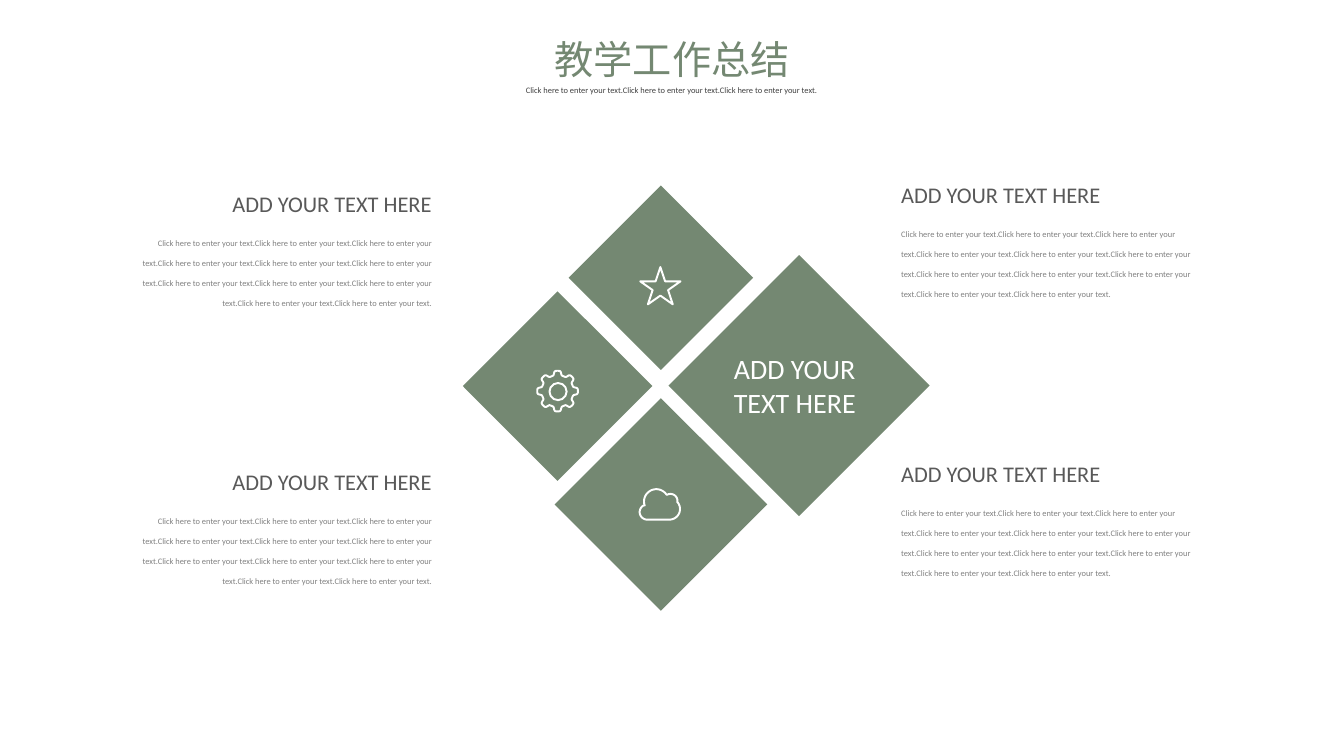
from math import cos, radians, sin, tanh

from lxml import etree
from pptx import Presentation
from pptx.dml.color import RGBColor
from pptx.enum.shapes import MSO_SHAPE
from pptx.enum.text import MSO_ANCHOR, MSO_AUTO_SIZE, PP_ALIGN
from pptx.oxml.ns import qn
from pptx.util import Pt

PX = 9144  # EMU in one px, 100 px to the inch
LEFT, CENTER, RIGHT = PP_ALIGN.LEFT, PP_ALIGN.CENTER, PP_ALIGN.RIGHT
MIDDLE = MSO_ANCHOR.MIDDLE
NO_AUTOFIT = MSO_AUTO_SIZE.NONE
DIAMOND, STAR, OVAL = MSO_SHAPE.DIAMOND, MSO_SHAPE.STAR_5_POINT, MSO_SHAPE.OVAL

GREEN, WHITE = "748872", "FFFFFF"
LATIN_FONT, CHINESE_FONT = "Calibri", "Noto Sans CJK SC"
TITLE = "教学工作总结"
HEADING = "ADD YOUR TEXT HERE"
SENTENCE = "Click here to enter your text."

# left, top, side
DIAMONDS = [(459, 289, 188), (663, 253, 259), (550, 395, 211), (564, 184, 183)]
# left, top, alignment
TEXT_BLOCKS = [(884, 175, LEFT), (884, 452, LEFT), (123, 184, RIGHT), (123, 460, RIGHT)]
GEAR_CENTER = (553, 388)
# centre x, centre y, radius, start and end angle
CLOUD_ARCS = [(642, 508, 7.5, 90, 240), (651, 497.5, 12.2, 161, 323),
              (665, 497, 7, 240, 360), (664, 505, 10.5, -43, 90)]


def px(value):
    return round(value * PX)


def color(hex_value):
    return RGBColor.from_string(hex_value)


def add_run(paragraph, text, size, hex_value, font=LATIN_FONT):
    run = paragraph.add_run()
    run.text = text
    run.font.size = Pt(size)
    run.font.name = font
    run.font.color.rgb = color(hex_value)
    return run


def add_text(slide, box, text, size, hex_value, alignment=LEFT, line_spacing=None):
    text_box = slide.shapes.add_textbox(*map(px, box))
    text_box.text_frame.word_wrap = True
    paragraph = text_box.text_frame.paragraphs[0]
    paragraph.alignment = alignment
    paragraph.line_spacing = line_spacing
    add_run(paragraph, text, size, hex_value)


def set_title(slide):
    title = slide.shapes.title
    title.left, title.top, title.width, title.height = map(px, (495, 19, 343, 78))
    frame = title.text_frame
    frame.auto_size = NO_AUTOFIT
    frame.vertical_anchor = MIDDLE
    paragraph = frame.paragraphs[0]
    paragraph.alignment = CENTER
    run = add_run(paragraph, TITLE, 28, GREEN, CHINESE_FONT)
    # East Asian typeface goes right after the Latin one
    east_asian = etree.Element(qn("a:ea"), typeface=CHINESE_FONT)
    run.font._element.find(qn("a:latin")).addnext(east_asian)


def add_diamond(slide, left, top, side):
    diamond = slide.shapes.add_shape(DIAMOND, px(left), px(top), px(side), px(side))
    diamond.shadow.inherit = False
    diamond.fill.solid()
    diamond.fill.fore_color.rgb = color(GREEN)
    diamond.line.fill.background()


def outline(shape):
    shape.shadow.inherit = False
    shape.fill.background()
    shape.line.color.rgb = color(WHITE)
    shape.line.width = Pt(1.4)
    etree.SubElement(shape.line._get_or_add_ln(), qn("a:round"))


def add_preset_icon(slide, kind, left, top, width, height):
    outline(slide.shapes.add_shape(kind, px(left), px(top), px(width), px(height)))


def add_curve_icon(slide, points):
    vertices = [(px(x), px(y)) for x, y in points]
    builder = slide.shapes.build_freeform(*vertices[0], scale=1.0)
    builder.add_line_segments(vertices[1:], close=True)
    outline(builder.convert_to_shape())


def polar(center_x, center_y, radius, degrees):
    angle = radians(degrees)
    return center_x + radius * cos(angle), center_y + radius * sin(angle)


def gear_points():
    # Eight rounded teeth between radius 16 and 20
    return [polar(*GEAR_CENTER, 18 + 2.2 * tanh(2.5 * cos(radians(8 * degrees))), degrees)
            for degrees in range(0, 360, 2)]


def cloud_points():
    steps = 30
    return [polar(x, y, radius, start + (end - start) * step / steps)
            for x, y, radius, start, end in CLOUD_ARCS
            for step in range(steps + 1)]


def add_text_block(slide, left, top, alignment):
    add_text(slide, (left, top, 315, 37), HEADING, 16, "595959", alignment)
    add_text(slide, (left, top + 37, 315, 91), SENTENCE * 11, 6, "808080", alignment, 2.0)


def main():
    presentation = Presentation()
    presentation.slide_width, presentation.slide_height = px(1333), px(750)
    slide = presentation.slides.add_slide(presentation.slide_layouts[5])

    # Title and subtitle
    set_title(slide)
    add_text(slide, (476, 70, 380, 30), SENTENCE * 3, 6, "404040", CENTER, 2.0)

    # Diamonds
    for diamond in DIAMONDS:
        add_diamond(slide, *diamond)

    # Text around the diamonds
    for block in TEXT_BLOCKS:
        add_text_block(slide, *block)

    # Icons and label on the diamonds
    add_preset_icon(slide, STAR, 635, 265, 40, 37)
    add_curve_icon(slide, cloud_points())
    add_curve_icon(slide, gear_points())
    add_preset_icon(slide, OVAL, 545, 380, 17, 17)
    add_text(slide, (718, 344, 149, 77), HEADING, 20, WHITE)

    presentation.save("out.pptx")


if __name__ == "__main__":
    main()
